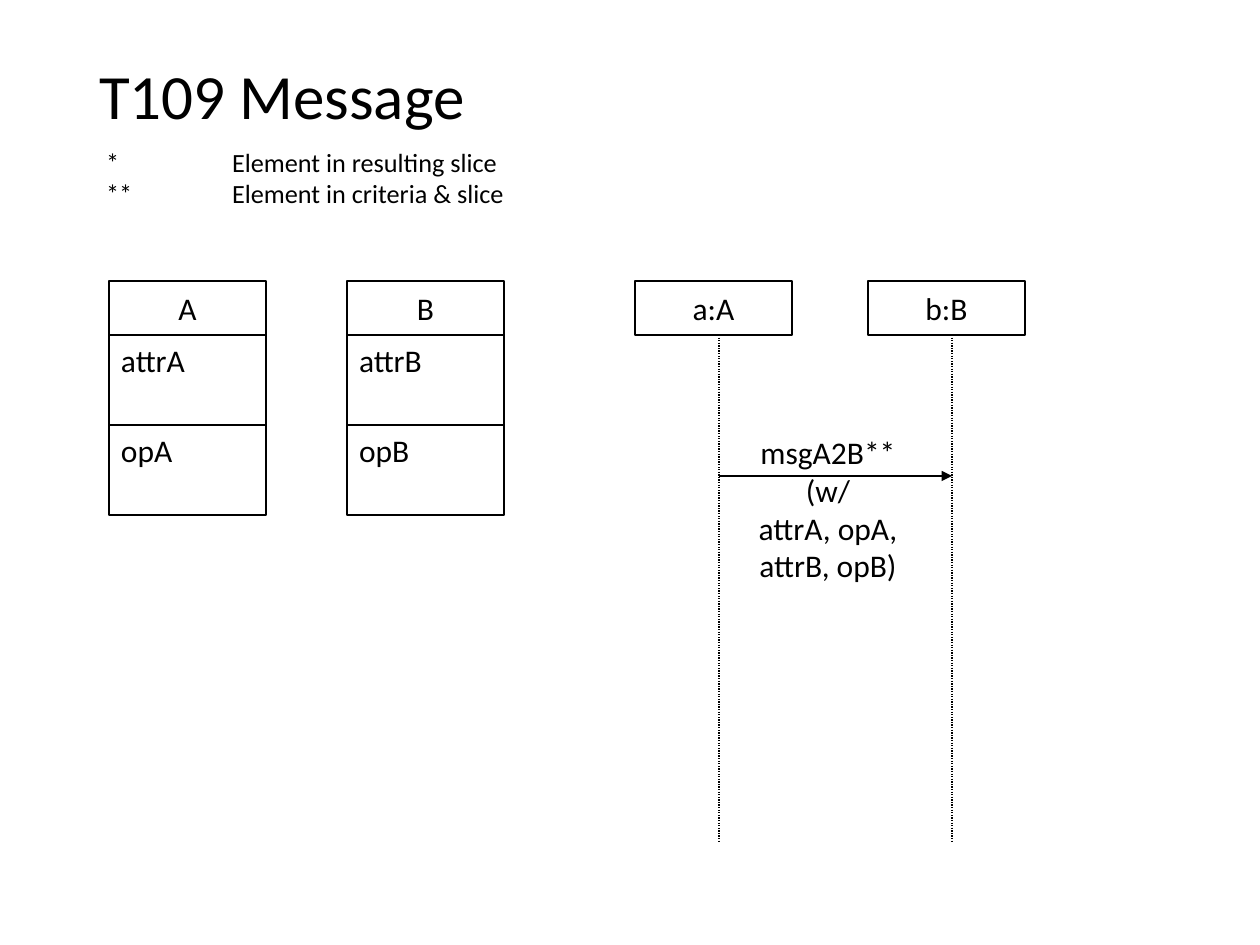
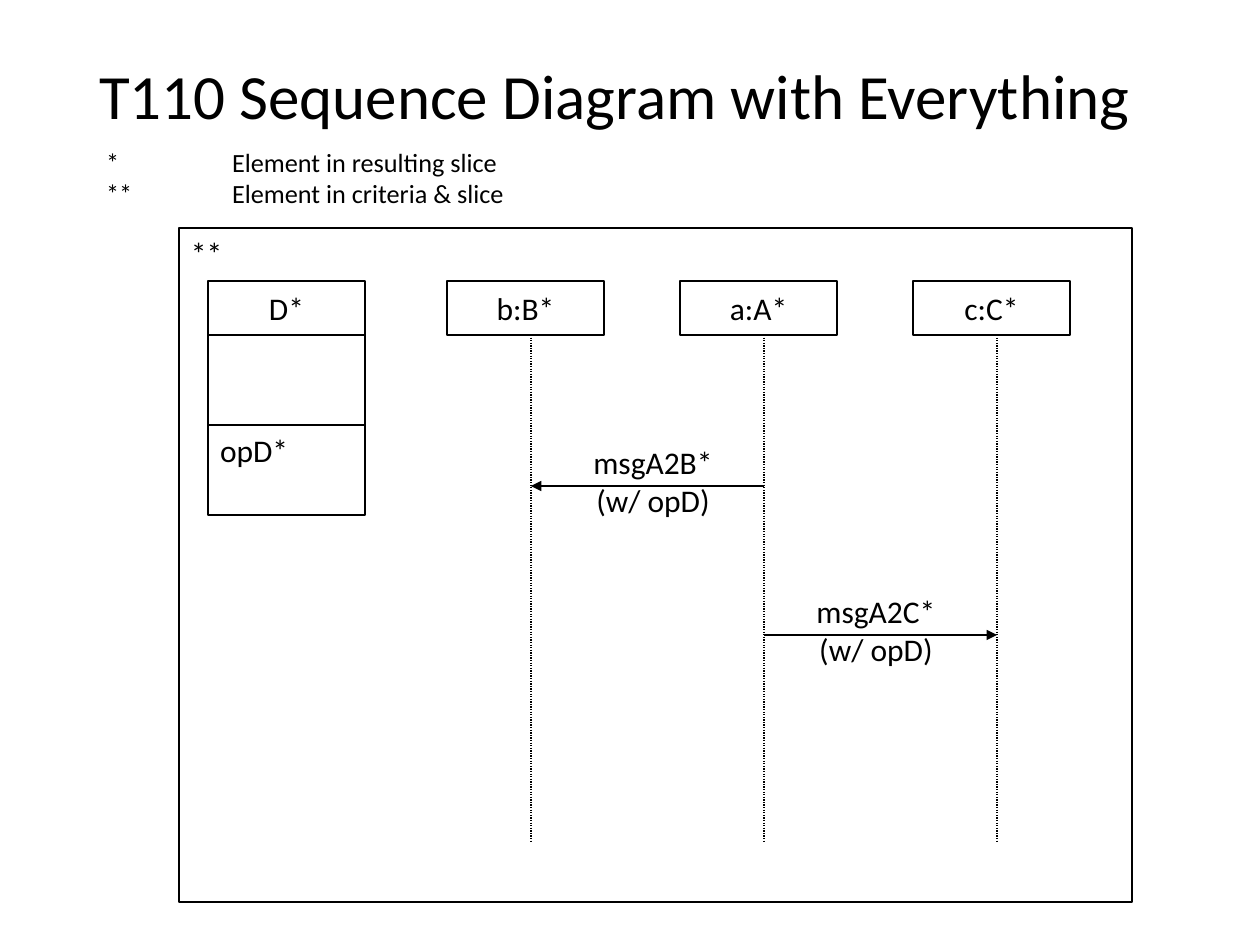
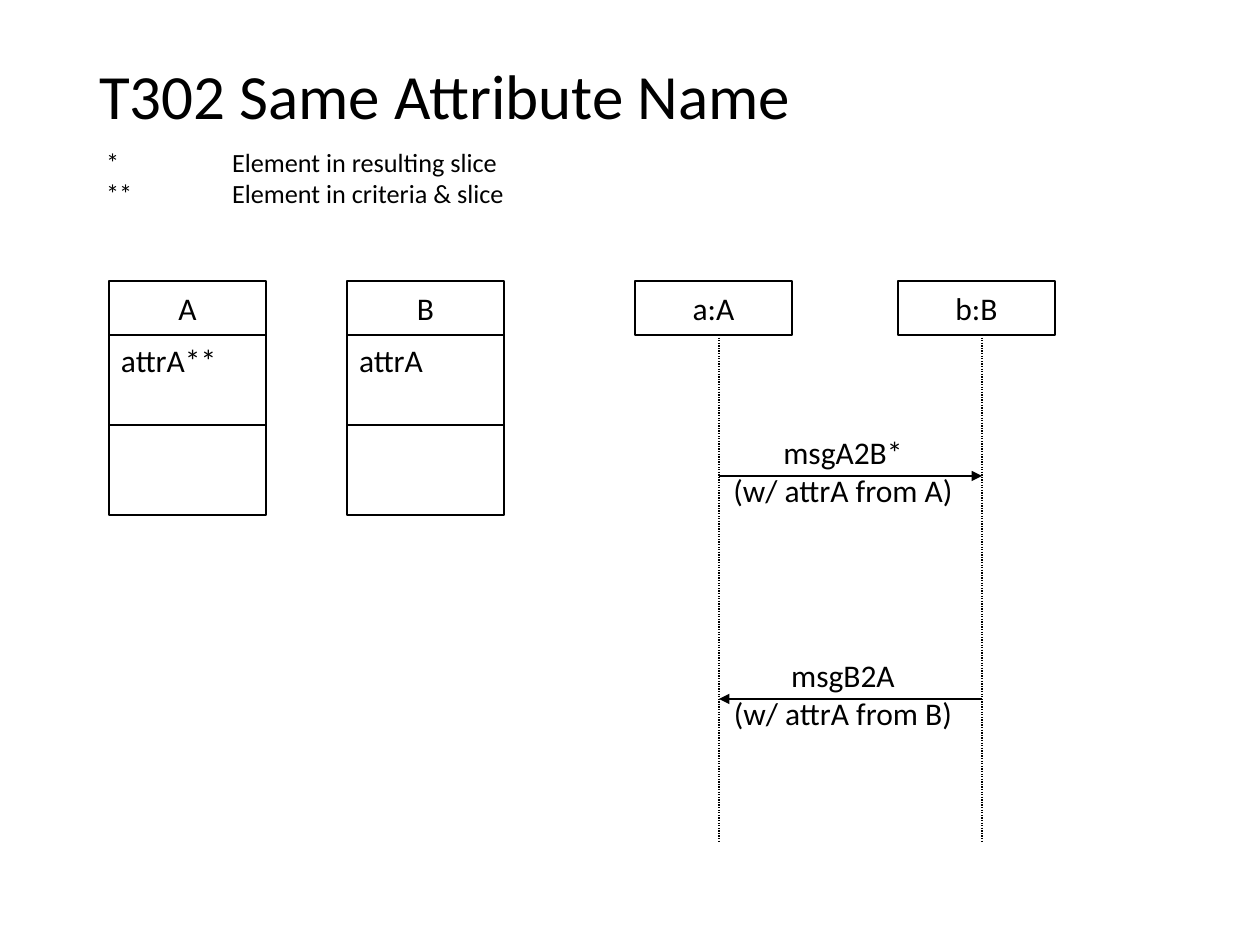
from dataclasses import dataclass

from lxml.etree import SubElement
from pptx import Presentation
from pptx.dml.color import RGBColor
from pptx.enum.dml import MSO_LINE
from pptx.enum.shapes import MSO_CONNECTOR, MSO_SHAPE
from pptx.enum.text import MSO_ANCHOR, PP_ALIGN
from pptx.oxml.ns import qn
from pptx.util import Emu, Pt

PX_PER_INCH = 126
PAGE_WIDTH, PAGE_HEIGHT = 1260, 945


@dataclass(frozen=True)
class Theme:
    font: str = "Calibri"
    ink: RGBColor = RGBColor(0, 0, 0)
    paper: RGBColor = RGBColor(255, 255, 255)
    title_size: int = 36
    body_size: int = 18
    legend_size: int = 15
    outline: float = 0.94
    stroke: float = 0.75


THEME = Theme()

LEGEND = ["*\tElement in resulting slice", "**\tElement in criteria & slice"]
LEGEND_TAB = 126

INSET_X, INSET_Y = 12, 6
BOX_WIDTH = 157
HEAD_TOP, HEAD_HEIGHT = 281, 54
HEAD_BOTTOM = HEAD_TOP + HEAD_HEIGHT
COMPARTMENT_HEIGHT = 90
LIFELINE_OFFSET, LIFELINE_END = 84, 843
LABEL_WIDTH, LABEL_RISE, LABEL_LINE = 250, 49, 38


def px(length):
    return Emu(round(length * 914400 / PX_PER_INCH))


def write(box, lines, size, align=PP_ALIGN.LEFT, anchor=MSO_ANCHOR.TOP, tab=None):
    frame = box.text_frame
    frame.word_wrap = True
    frame.vertical_anchor = anchor
    frame.margin_left = frame.margin_right = px(INSET_X)
    frame.margin_top = frame.margin_bottom = px(INSET_Y)
    frame.text = "\n".join(lines)
    for para in frame.paragraphs:
        para.alignment = align
        if tab:
            stops = SubElement(para._p.get_or_add_pPr(), qn("a:tabLst"))
            SubElement(stops, qn("a:tab"), pos=str(px(tab)), algn="l")
        para.font.name = THEME.font
        para.font.size = Pt(size)
        para.font.color.rgb = THEME.ink


def add_text(page, left, top, width, height, lines, size, **style):
    box = page.shapes.add_textbox(px(left), px(top), px(width), px(height))
    write(box, lines, size, **style)
    return box


def add_box(page, left, top, width, height, text="", **style):
    box = page.shapes.add_shape(MSO_SHAPE.RECTANGLE, px(left), px(top), px(width), px(height))
    box.shadow.inherit = False
    box.fill.solid()
    box.fill.fore_color.rgb = THEME.paper
    box.line.color.rgb = THEME.ink
    box.line.width = Pt(THEME.outline)
    if text:
        write(box, [text], THEME.body_size, **style)


def add_line(page, start, end):
    line = page.shapes.add_connector(MSO_CONNECTOR.STRAIGHT, *map(px, start + end))
    line.line.color.rgb = THEME.ink
    line.line.width = Pt(THEME.stroke)
    SubElement(line._element.spPr, qn("a:effectLst"))
    return line


def add_name_box(page, left, name):
    add_box(page, left, HEAD_TOP, BOX_WIDTH, HEAD_HEIGHT, name,
            align=PP_ALIGN.CENTER, anchor=MSO_ANCHOR.MIDDLE)


def add_class(page, left, name, attribute="", operation=""):
    """Draw a class as a name box above two compartments."""
    add_name_box(page, left, name)
    for row, member in enumerate([attribute, operation]):
        top = HEAD_BOTTOM + row * COMPARTMENT_HEIGHT
        add_box(page, left, top, BOX_WIDTH, COMPARTMENT_HEIGHT, member)


def add_lifelines(page, left, step, names):
    """Draw evenly spaced lifelines and return the x of each."""
    positions = []
    for index, name in enumerate(names):
        head_left = left + index * step
        x = head_left + LIFELINE_OFFSET
        add_name_box(page, head_left, name)
        add_line(page, (x, HEAD_BOTTOM), (x, LIFELINE_END)).line.dash_style = MSO_LINE.ROUND_DOT
        positions.append(x)
    return positions


def add_message(page, sender, receiver, y, label_center, lines):
    """Draw an arrow with a label whose first line sits above it."""
    arrow = add_line(page, (sender, y), (receiver, y))
    SubElement(arrow.line._get_or_add_ln(), qn("a:tailEnd"), type="triangle")
    label_height = len(lines) * LABEL_LINE + 2 * INSET_Y
    add_text(page, label_center - LABEL_WIDTH // 2, y - LABEL_RISE, LABEL_WIDTH, label_height,
             lines, THEME.body_size, align=PP_ALIGN.CENTER)


def add_page(deck, title):
    page = deck.slides.add_slide(deck.slide_layouts[6])
    add_text(page, 94, 140, 522, 78, LEGEND, THEME.legend_size, tab=LEGEND_TAB)
    heading = add_text(page, 87, 50, 1087, 98, [title], THEME.title_size,
                       anchor=MSO_ANCHOR.MIDDLE)
    heading.text_frame.paragraphs[0].line_spacing = 0.9
    return page


def build_message_page(deck):
    page = add_page(deck, "T109 Message")
    a, b = add_lifelines(page, 635, 233, ["a:A", "b:B"])
    add_class(page, 109, "A", "attrA", "opA")
    add_class(page, 347, "B", "attrB", "opB")
    add_message(page, a, b, 476, 828, ["msgA2B**", "(w/", "attrA, opA,", "attrB, opB)"])


def build_everything_page(deck):
    page = add_page(deck, "T110 Sequence Diagram with Everything")
    add_box(page, 179, 228, 953, 674, "**")
    b, a, c = add_lifelines(page, 447, 233, ["b:B*", "a:A*", "c:C*"])
    add_message(page, a, b, 486, 653, ["msgA2B*", "(w/ opD)"])
    add_message(page, a, c, 635, 876, ["msgA2C*", "(w/ opD)"])
    add_class(page, 208, "D*", operation="opD*")


def build_same_name_page(deck):
    page = add_page(deck, "T302 Same Attribute Name")
    a, b = add_lifelines(page, 635, 263, ["a:A", "b:B"])
    add_class(page, 109, "A", "attrA**")
    add_class(page, 347, "B", "attrA")
    add_message(page, a, b, 476, 843, ["msgA2B*", "(w/ attrA from A)"])
    add_message(page, b, a, 699, 843, ["msgB2A", "(w/ attrA from B)"])


def main():
    deck = Presentation()
    deck.slide_width, deck.slide_height = px(PAGE_WIDTH), px(PAGE_HEIGHT)
    build_message_page(deck)
    build_everything_page(deck)
    build_same_name_page(deck)
    deck.save("out.pptx")


if __name__ == "__main__":
    main()
